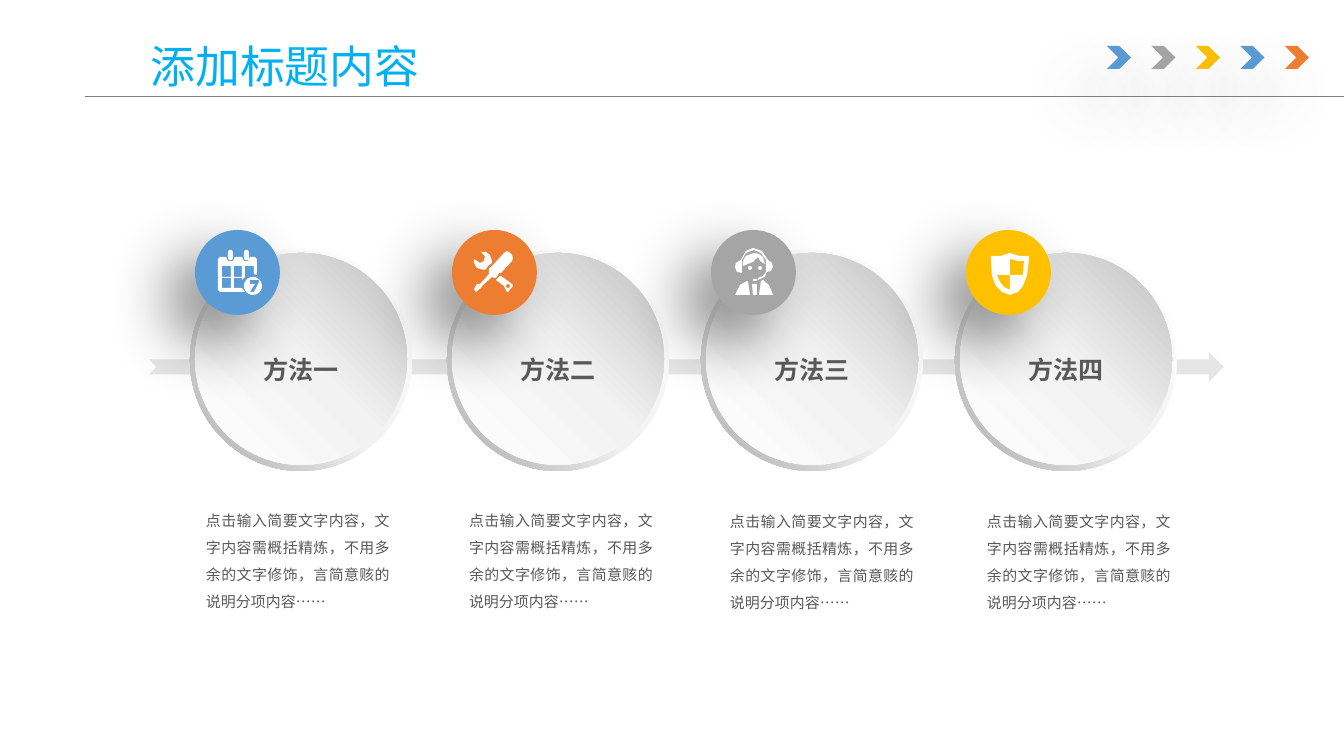
import math

from lxml import etree
from pptx import Presentation
from pptx.dml.color import RGBColor
from pptx.enum import shapes, text
from pptx.oxml import parse_xml
from pptx.oxml.ns import nsdecls, qn
from pptx.util import Pt

PX = 914400 / 134.4
FONT = "Noto Sans CJK SC"
BLUE = RGBColor(0x5B, 0x9B, 0xD5)
GRAY = RGBColor(0xA5, 0xA5, 0xA5)
GOLD = RGBColor(0xFF, 0xC0, 0x00)
ORANGE = RGBColor(0xED, 0x7D, 0x31)
CYAN = RGBColor(0x00, 0xB0, 0xF0)
DARK = RGBColor(0x59, 0x59, 0x59)
RULE = RGBColor(0x80, 0x80, 0x80)
PALE = RGBColor(0xE7, 0xE6, 0xE6)
WHITE = RGBColor(0xFF, 0xFF, 0xFF)


def circle(x, y, radius, steps=24):
    angles = [2 * math.pi * i / steps for i in range(steps)]
    return [(x + radius * math.cos(a), y + radius * math.sin(a)) for a in angles]


def rect(left, top, right, bottom):
    return [(left, top), (right, top), (right, bottom), (left, bottom)]


def ring(left, right):
    return [(left, -20), (left + 1, -22), (right - 1, -22), (right, -20),
            (right, -14), (right - 1, -12), (left + 1, -12), (left, -14)]


# Icon outlines in px from the badge centre
CALENDAR = [
    [(-19, -13), (-17, -15), (-11, -15), (-9, -11), (-4, -11), (-2, -15), (5, -15),
     (7, -11), (11, -11), (13, -15), (18, -15), (20, -13), (20, 3), (17, 2), (17, -6),
     (8, -6), (8, 5), (5, 8), (5, 6), (-3, 6), (-3, 16), (5, 16), (8, 20),
     (-17, 20), (-19, 18)],
    ring(-9, -4), ring(7, 12),
    rect(-15, -6, -6, 5), rect(-3, -6, 5, 5), rect(-15, 6, -6, 16),
    circle(16, 14, 9),
    [(13, 8), (22, 8), (22, 10), (17, 20), (13, 20), (18, 12), (13, 12)],
]
TOOLS = [
    [(18, -17), (15, -20), (13, -21), (10, -19), (-1, -7), (-3, -5), (-5, -3), (-5, 2),
     (-14, 12), (-17, 12), (-20, 17), (-18, 20), (-13, 16), (-11, 13), (-2, 5), (1, 6),
     (3, 5), (5, 1), (7, 1), (18, -11), (19, -14)],
    [(6, 4), (2, 8), (10, 14), (13, 20), (14, 20), (19, 14), (19, 13), (14, 9), (7, 4)],
    circle(14, 14, 2),
    [(-6, -6), (-5, -7), (-2, -9), (-2, -11), (-4, -17), (-8, -20), (-13, -20),
     (-9, -16), (-10, -11), (-14, -9), (-20, -13), (-20, -9), (-17, -4), (-10, -2),
     (-8, -3)],
]
AGENT = [
    [(0, -24), (-7, -21), (-12, -12), (-17, -9), (-18, -5), (-16, 0), (-11, 1),
     (-11, -12), (-7, -19), (1, -22), (8, -19), (13, -12), (13, 0), (10, 4), (5, 6),
     (5, 8), (12, 5), (14, 0), (18, -1), (20, -5), (19, -9), (15, -12), (9, -21)],
    [(1, -19), (-7, -16), (-10, -11), (-10, -6), (0, -10), (5, -15), (8, -10),
     (12, -8), (10, -15), (6, -18)],
    circle(-3, -4, 2), circle(7, -4, 2), rect(0, 7, 4, 9),
    [(10, 8), (8, 9), (6, 23), (20, 23), (16, 13)],
    [(-6, 9), (-13, 13), (-18, 23), (-3, 23), (-5, 9)],
    [(-1, 12), (4, 12), (4, 23), (0, 23)],
]
SHIELD = [
    [(-17, -16), (-7, -16), (2, -19), (11, -16), (21, -16), (21, -12), (19, 4), (15, 14),
     (10, 20), (2, 23), (-6, 20), (-12, 14), (-16, 4), (-17, -12)],
    [(2, 3), (-11, 3), (-8, 10), (-4, 15), (2, 18)],
    [(2, 3), (15, 3), (16, -11), (10, -11), (2, -13)],
]

# Content
TITLE = "添加标题内容"
BODY = "点击输入简要文字内容，文字内容需概括精炼，不用多余的文字修饰，言简意赅的说明分项内容……"
CHEVRONS = [BLUE, GRAY, GOLD, BLUE, ORANGE]
# label, colour, icon, left of disc, badge and body text, top of body text
METHODS = [
    ("方法一", BLUE, CALENDAR, 190, 195, 206, 503),
    ("方法二", ORANGE, TOOLS, 447, 452, 469, 503),
    ("方法三", GRAY, AGENT, 701, 711, 730, 504),
    ("方法四", GOLD, SHIELD, 955, 966, 987, 504),
]
RIM_STOPS = [(0, "FFFFFF"), (55, "F2F2F2"), (100, "A6A6A6")]
DISC_STOPS = [(0, "FFFFFF"), (51, "F2F2F2"), (100, "BFBFBF")]


def px(*lengths):
    return [round(length * PX) for length in lengths]


def add_shape(kind, at, color=None):
    shape = page.shapes.add_shape(kind, *px(*at))
    shape.shadow.inherit = False
    shape.line.fill.background()
    if color is not None:
        shape.fill.solid()
        shape.fill.fore_color.rgb = color
    return shape


def add_gradient(shape, stops, angle):
    marks = "".join(f'<a:gs pos="{pos * 1000}"><a:srgbClr val="{color}"/></a:gs>'
                    for pos, color in stops)
    shape._element.spPr.find(qn("a:prstGeom")).addnext(parse_xml(
        f'<a:gradFill {nsdecls("a")} rotWithShape="1"><a:gsLst>{marks}</a:gsLst>'
        f'<a:lin ang="{angle * 60000}" scaled="0"/></a:gradFill>'))


def add_shadow(shape, alpha, blur, distance, angle):
    effects = shape._element.spPr.find(qn("a:effectLst"))
    effects.append(parse_xml(
        f'<a:outerShdw {nsdecls("a")} blurRad="{Pt(blur)}" dist="{Pt(distance)}" '
        f'dir="{angle * 60000}" algn="tr" rotWithShape="0"><a:srgbClr val="000000">'
        f'<a:alpha val="{alpha * 1000}"/></a:srgbClr></a:outerShdw>'))


def write(box, words, size, color, align, spacing=1.0, bold=False):
    para = box.text_frame.paragraphs[0]
    para.text = words
    para.alignment = align
    para.line_spacing = spacing
    font = para.font
    font.size, font.bold, font.name = Pt(size), bold, FONT
    font.color.rgb = color
    defaults = para._p.pPr.find(qn("a:defRPr"))
    etree.SubElement(defaults, qn("a:ea")).set("typeface", FONT)


def add_icon(contours, x, y):
    scaled = [[(round(a * 10), round(b * 10)) for a, b in points] for points in contours]
    builder = page.shapes.build_freeform(*scaled[0][0], scale=PX / 10)
    for i, points in enumerate(scaled):
        if i:
            builder.move_to(*points[0])
        builder.add_line_segments(points[1:], close=True)
    icon = builder.convert_to_shape(*px(x, y))
    icon.shadow.inherit = False
    icon.fill.solid()
    icon.fill.fore_color.rgb = WHITE
    icon.line.fill.background()


deck = Presentation()
deck.slide_width, deck.slide_height = px(1344, 756)
page = deck.slides.add_slide(deck.slide_layouts[5])
KIND = shapes.MSO_SHAPE

# Header: chevrons, rule and title
for i, color in enumerate(CHEVRONS):
    chevron = add_shape(KIND.CHEVRON, (1107 + 44.5 * i, 46, 24, 23), color)
    add_shadow(chevron, 38, 36, 24, 130)
rule = page.shapes.add_connector(shapes.MSO_CONNECTOR.STRAIGHT, *px(85, 96, 1344, 96))
rule.line.color.rgb = RULE
rule.line.width = Pt(0.5)
etree.SubElement(rule._element.spPr, qn("a:effectLst"))
title = page.shapes.title
title.left, title.top, title.width, title.height = px(137, -4, 1159, 146)
title.text_frame.vertical_anchor = text.MSO_ANCHOR.MIDDLE
write(title, TITLE, 24, CYAN, text.PP_ALIGN.LEFT, 0.9)

# Arrow behind the discs
add_shape(KIND.NOTCHED_RIGHT_ARROW, (149, 352, 1075, 30), PALE)

# Discs with labels, and the text below
for label, _, _, left, _, body_left, body_top in METHODS:
    rim = add_shape(KIND.DONUT, (left, 249, 222, 222))
    rim.adjustments[0] = 0.049
    add_gradient(rim, RIM_STOPS, 135)
    disc = add_shape(KIND.OVAL, (left + 5, 253, 212, 212))
    add_gradient(disc, DISC_STOPS, 315)
    box = page.shapes.add_textbox(*px(left + 60, 348, 102, 44))
    box.text_frame.word_wrap = False
    write(box, label, 13.4, DARK, text.PP_ALIGN.CENTER, bold=True)

    box = page.shapes.add_textbox(*px(body_left, body_top, 184, 109))
    frame = box.text_frame
    frame.word_wrap = True
    frame.margin_left = frame.margin_top = frame.margin_right = frame.margin_bottom = 0
    write(box, BODY, 8, DARK, text.PP_ALIGN.JUSTIFY, 1.5)

# Badges with icons
for _, color, icon, _, left, _, _ in METHODS:
    badge = add_shape(KIND.OVAL, (left, 230, 85, 85), color)
    add_shadow(badge, 50, 35, 20, 135)
    add_icon(icon, left + 42, 272)

deck.save("out.pptx")
